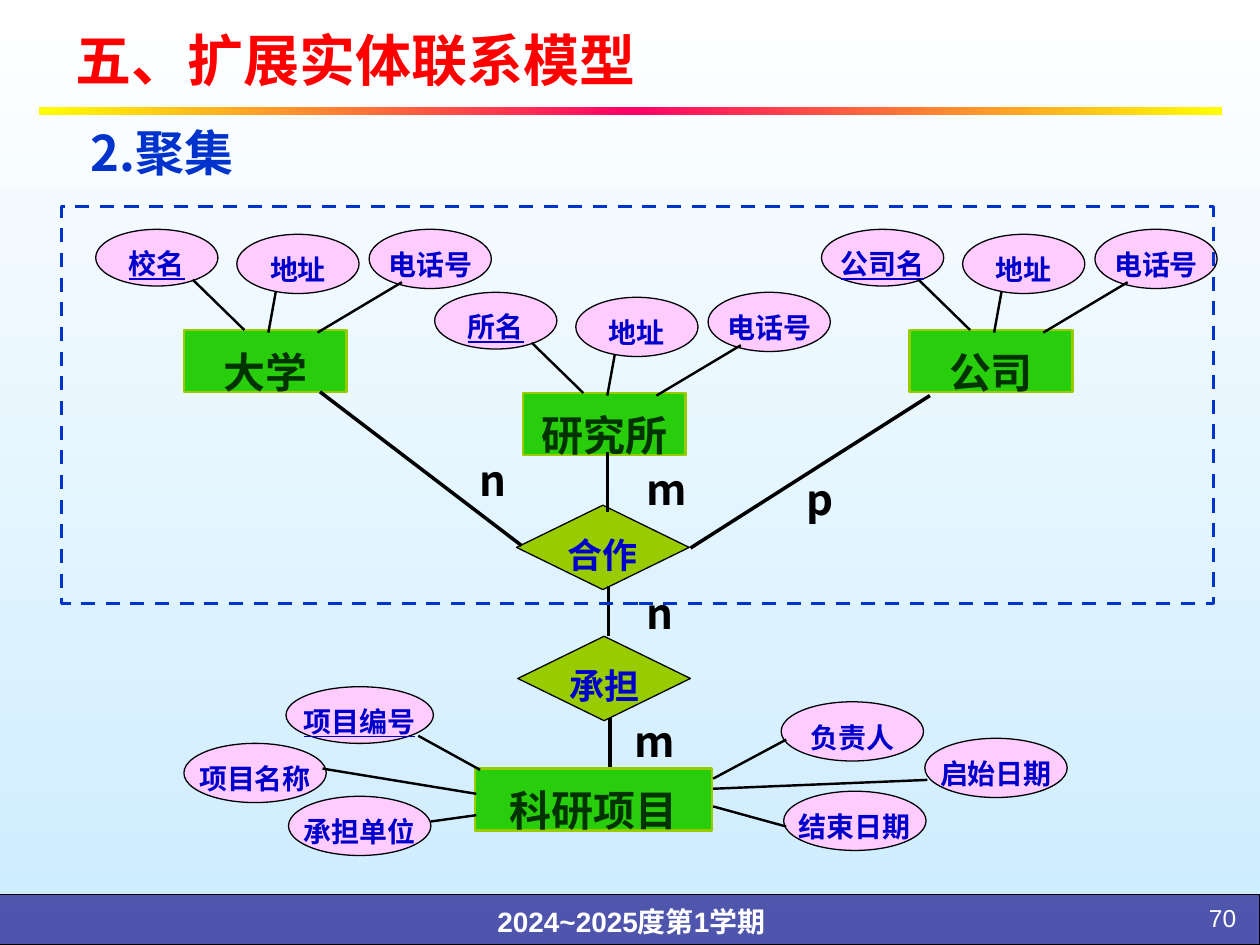
"""Build the slide on aggregation in the extended entity-relationship model."""
from copy import deepcopy

from lxml import etree
from pptx import Presentation
from pptx.dml.color import RGBColor
from pptx.enum.dml import MSO_LINE
from pptx.enum.shapes import MSO_CONNECTOR, MSO_SHAPE
from pptx.enum.text import MSO_ANCHOR, MSO_AUTO_SIZE, PP_ALIGN
from pptx.oxml.ns import qn
from pptx.util import Inches, Pt

RECT, OVAL, DIAMOND = MSO_SHAPE.RECTANGLE, MSO_SHAPE.OVAL, MSO_SHAPE.DIAMOND
STRAIGHT, DASH = MSO_CONNECTOR.STRAIGHT, MSO_LINE.DASH
TOP, MIDDLE = MSO_ANCHOR.TOP, MSO_ANCHOR.MIDDLE
LEFT, CENTER, RIGHT = PP_ALIGN.LEFT, PP_ALIGN.CENTER, PP_ALIGN.RIGHT
GROW, FIXED = MSO_AUTO_SIZE.SHAPE_TO_FIT_TEXT, MSO_AUTO_SIZE.NONE

BLACK = RGBColor(0, 0, 0)
WHITE = RGBColor(0xFF, 0xFF, 0xFF)
RED = RGBColor(0xFF, 0, 0)
BLUE = RGBColor(0, 0x33, 0xCC)
INK = RGBColor(0, 0, 0xCC)
PINK = RGBColor(0xFF, 0xCC, 0xFF)
GREEN = RGBColor(0x28, 0xCE, 0x0C)
LIME = RGBColor(0x99, 0xCC, 0)
DARK = RGBColor(0, 0x33, 0)
SKY = RGBColor(0xCC, 0xEC, 0xFF)
NAVY = RGBColor(0x33, 0x33, 0x99)
YELLOW = RGBColor(0xFF, 0xFF, 0)
ROSE = RGBColor(0xFF, 0, 0x66)
SANS, ARIAL = "Noto Sans CJK SC", "Arial"

TITLE = "五、扩展实体联系模型"
HEADING = "2.聚集"
FOOTER = "2024~2025度第1学期"
PAGE = "70"

PARTIES = [
    ("大学", "校名", 1.46, 2.62),
    ("研究所", "所名", 4.15, 3.12),
    ("公司", "公司名", 7.22, 2.62),
]
SHARED = ["地址", "电话号"]
OVALS = [(-0.7, -0.8, 0.45), (0.42, -0.76, 0.47), (1.47, -0.8, 0.47)]
SPOKES = [
    (0.07, -0.4, 0.48, 0),
    (0.73, -0.31, 0.67, 0.02),
    (1.73, -0.38, 1.06, 0.02),
]
PROJECT = ("科研项目", 3.77, 6.1)
FACTS = [
    ("项目编号", 2.27, 5.45, 1.17, 0.45),
    ("项目名称", 1.46, 5.9, 1.13, 0.47),
    ("承担单位", 2.29, 6.32, 1.13, 0.47),
    ("负责人", 6.2, 5.57, 1.13, 0.47),
    ("启始日期", 7.34, 5.86, 1.13, 0.47),
    ("结束日期", 6.22, 6.28, 1.13, 0.47),
]
FACT_LINES = [
    (3.32, 5.84, 3.81, 6.11),
    (2.56, 6.1, 3.78, 6.3),
    (3.42, 6.52, 3.78, 6.47),
    (5.66, 6.4, 6.24, 6.56),
    (5.66, 6.18, 6.24, 5.87),
    (5.66, 6.26, 7.36, 6.19),
]
LINKS = [("合作", 4.1, 4.01), ("承担", 4.11, 5.05)]
LINK_LINES = [
    (7.38, 3.14, 5.48, 4.35),
    (2.54, 3.11, 4.14, 4.33),
    (4.82, 3.59, 4.82, 4.06),
    (4.83, 4.65, 4.83, 5.05),
    (4.84, 5.7, 4.84, 6.13),
]
COUNTS = [
    ("n", 3.71, 3.42, 0.44, 0.57),
    ("m", 5.03, 3.49, 0.37, 0.65),
    ("p", 6.3, 3.57, 0.37, 0.57),
    ("n", 5.03, 4.47, 0.37, 0.57),
    ("m", 4.94, 5.49, 0.37, 0.65),
]


def write(shape, text, size, color, face=SANS, align=CENTER, space=None,
          anchor=TOP, wrap=True, bold=True, under=None, fit=FIXED):
    frame = shape.text_frame
    frame.text = text
    frame.word_wrap = wrap
    frame.auto_size = fit
    frame.vertical_anchor = anchor
    para = frame.paragraphs[0]
    para.alignment = align
    para.line_spacing = space
    font = para.font
    font.size, font.bold, font.underline = Pt(size), bold, under
    font.color.rgb = color
    font.name = face
    east = etree.SubElement(para._p.pPr.find(qn("a:defRPr")), qn("a:ea"))
    east.set("typeface", SANS)


def label(box, text, size, color, **style):
    write(slide.shapes.add_textbox(*map(Inches, box)), text, size, color, **style)


def block(kind, box, fill=None, edge=None, width=0.75):
    shape = slide.shapes.add_shape(kind, *map(Inches, box))
    shape.shadow.inherit = False
    if fill is None:
        shape.fill.background()
    else:
        shape.fill.solid()
        shape.fill.fore_color.rgb = fill
    if edge is None:
        shape.line.fill.background()
    else:
        shape.line.color.rgb = edge
        shape.line.width = Pt(width)
    return shape


def line(ends, width):
    link = slide.shapes.add_connector(STRAIGHT, *map(Inches, ends))
    link.line.color.rgb = BLACK
    link.line.width = Pt(width)
    etree.SubElement(link._element.spPr, qn("a:effectLst"))


def blend(fill, first, last, angle):
    fill.gradient()
    fill.gradient_angle = angle
    for stop, color, place in zip(fill.gradient_stops, (first, last), (0, 1)):
        stop.color.rgb = color
        stop.position = place


def entity(text, x, y, wide):
    shape = block(RECT, (x, y, wide, 0.49), GREEN, LIME, 1.5)
    write(shape, text, 24, DARK, space=1.2)


def oval(text, box, key):
    shape = block(OVAL, box, PINK, BLACK)
    write(shape, text, 16, INK, space=1.35, anchor=MIDDLE, wrap=False,
          under=key or None)


deck = Presentation()
deck.slide_width, deck.slide_height = Inches(10), Inches(7.5)
slide = deck.slides.add_slide(deck.slide_layouts[5])
blend(slide.background.fill, WHITE, SKY, 270)

title = slide.shapes.title
title.left, title.top, title.width, title.height = map(Inches, (0.5, 0.09, 9, 0.76))
write(title, TITLE, 32, RED, face=ARIAL, align=LEFT, anchor=MIDDLE)

band = block(RECT, (-0.01, 7.1, 10.01, 0.4), NAVY, BLACK)
tint = band._element.spPr.find(qn("a:solidFill"))[0]
etree.SubElement(tint, qn("a:alpha")).set("val", "81000")
label((2.69, 7.08, 4.64, 0.42), FOOTER, 16, WHITE, face=ARIAL, space=1.2, fit=GROW)
label((8.94, 7.12, 0.97, 0.3), PAGE, 14, WHITE, face=ARIAL, align=RIGHT, bold=False)

rule = block(RECT, (0.31, 0.85, 9.39, 0.06), YELLOW)
blend(rule.fill, YELLOW, YELLOW, 0)
stops = rule._element.spPr.find(qn("a:gradFill")).find(qn("a:gsLst"))
stops.insert(1, deepcopy(stops[0]))
middle = rule.fill.gradient_stops[1]
middle.color.rgb, middle.position = ROSE, 0.5

for name, key, x, y in PARTIES:
    entity(name, x, y, 1.29)
    for text, (dx, dy, high) in zip([key, *SHARED], OVALS):
        oval(text, (x + dx, y + dy, 0.97, high), text == key)
    for x1, y1, x2, y2 in SPOKES:
        line((x + x1, y + y1, x + x2, y + y2), 1.38)

for text, x, y in LINKS:
    shape = block(DIAMOND, (x, y, 1.37, 0.67), LIME, BLACK)
    write(shape, text, 20, INK, space=1.35, anchor=MIDDLE, wrap=False)
for ends in LINK_LINES:
    line(ends, 2)
for text, *box in COUNTS:
    label(box, text, 24, BLACK, align=LEFT, space=1.35, wrap=False, fit=GROW)

entity(*PROJECT, 1.88)
for text, *box in FACTS:
    oval(text, box, text == FACTS[0][0])
for ends in FACT_LINES:
    line(ends, 1.38)

frame = block(RECT, (0.49, 1.64, 9.14, 3.15), edge=BLUE, width=2)
frame.line.dash_style = DASH
label((0.62, 0.92, 7.25, 0.57), HEADING, 28, BLUE, align=LEFT, fit=GROW)

deck.save("out.pptx")
